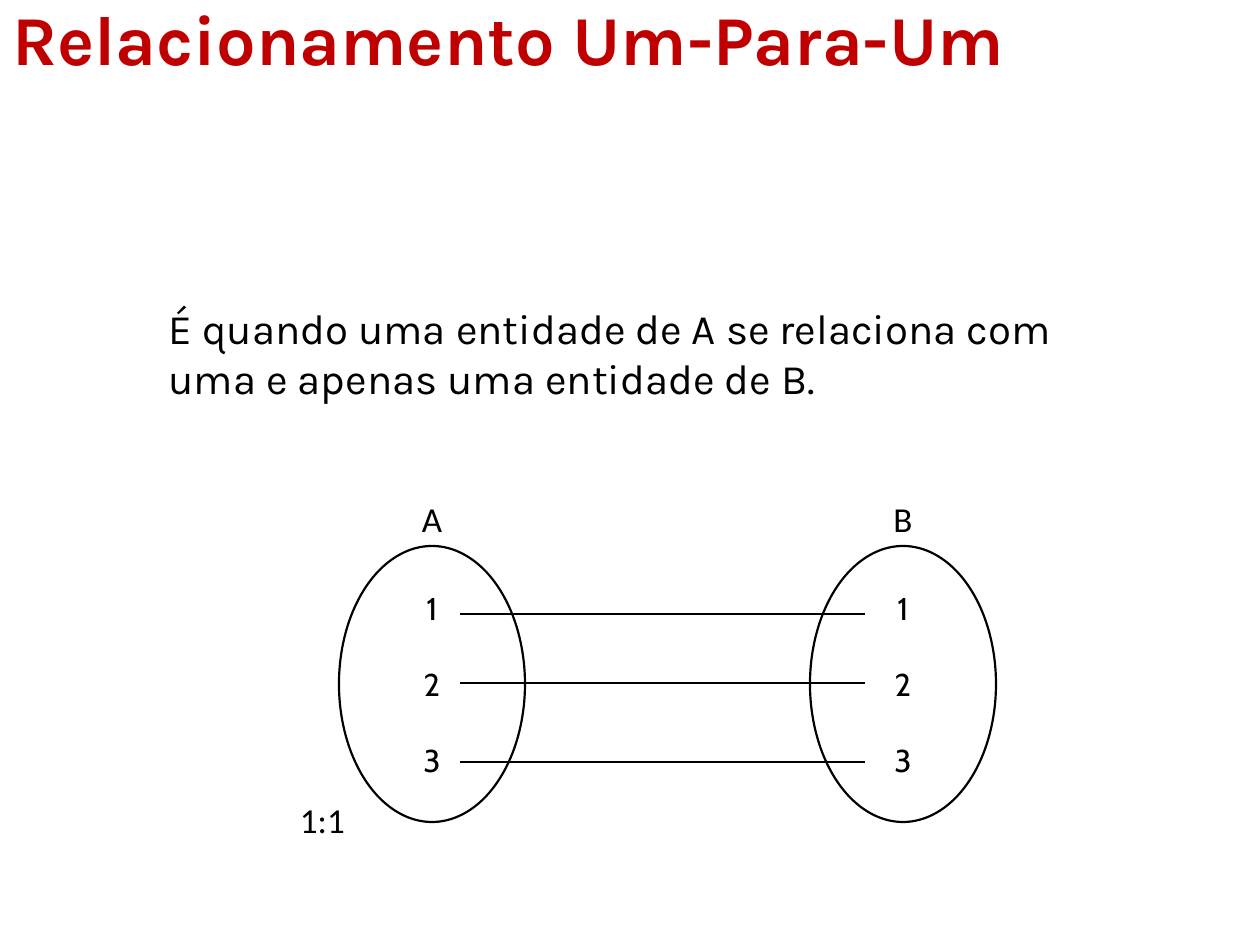
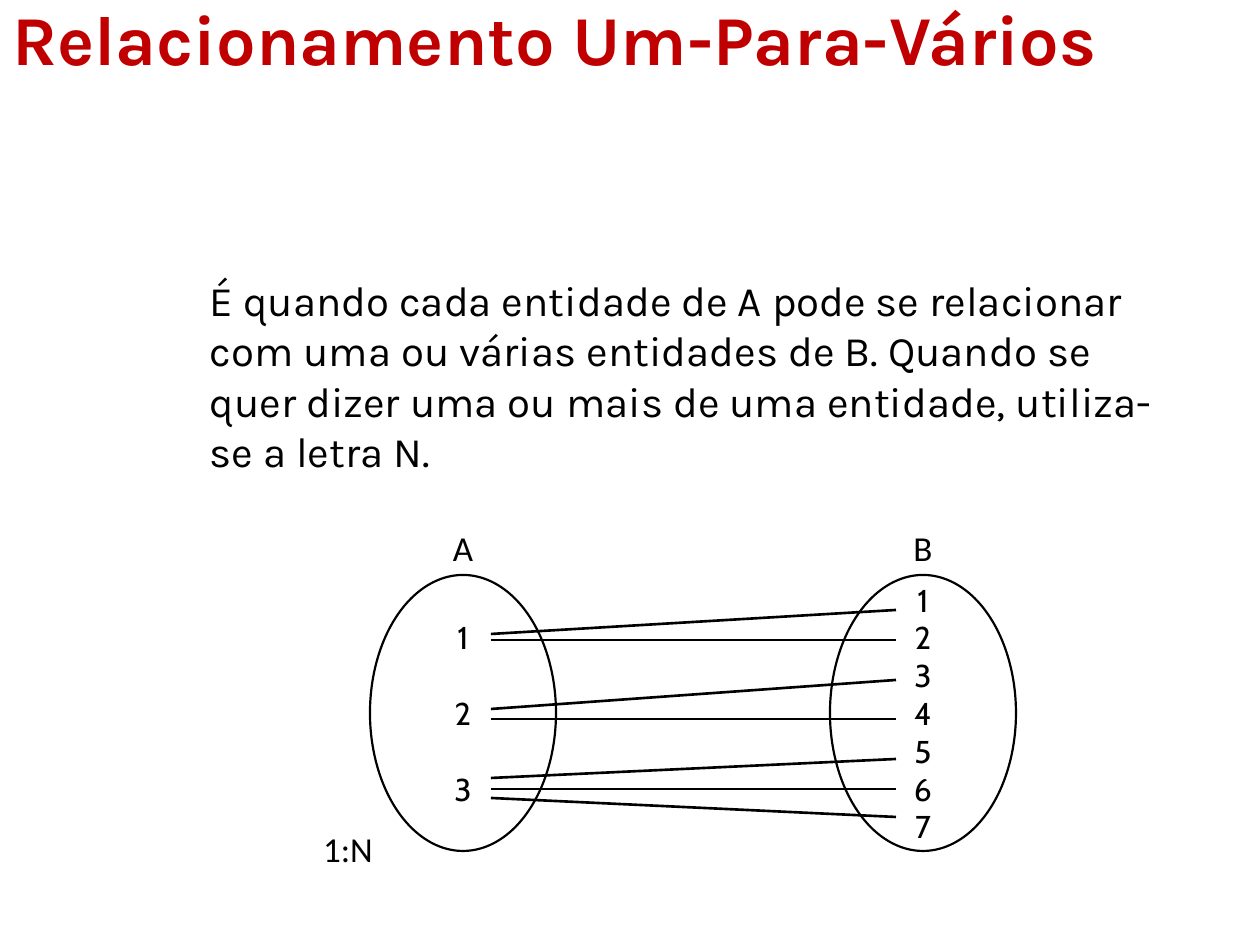
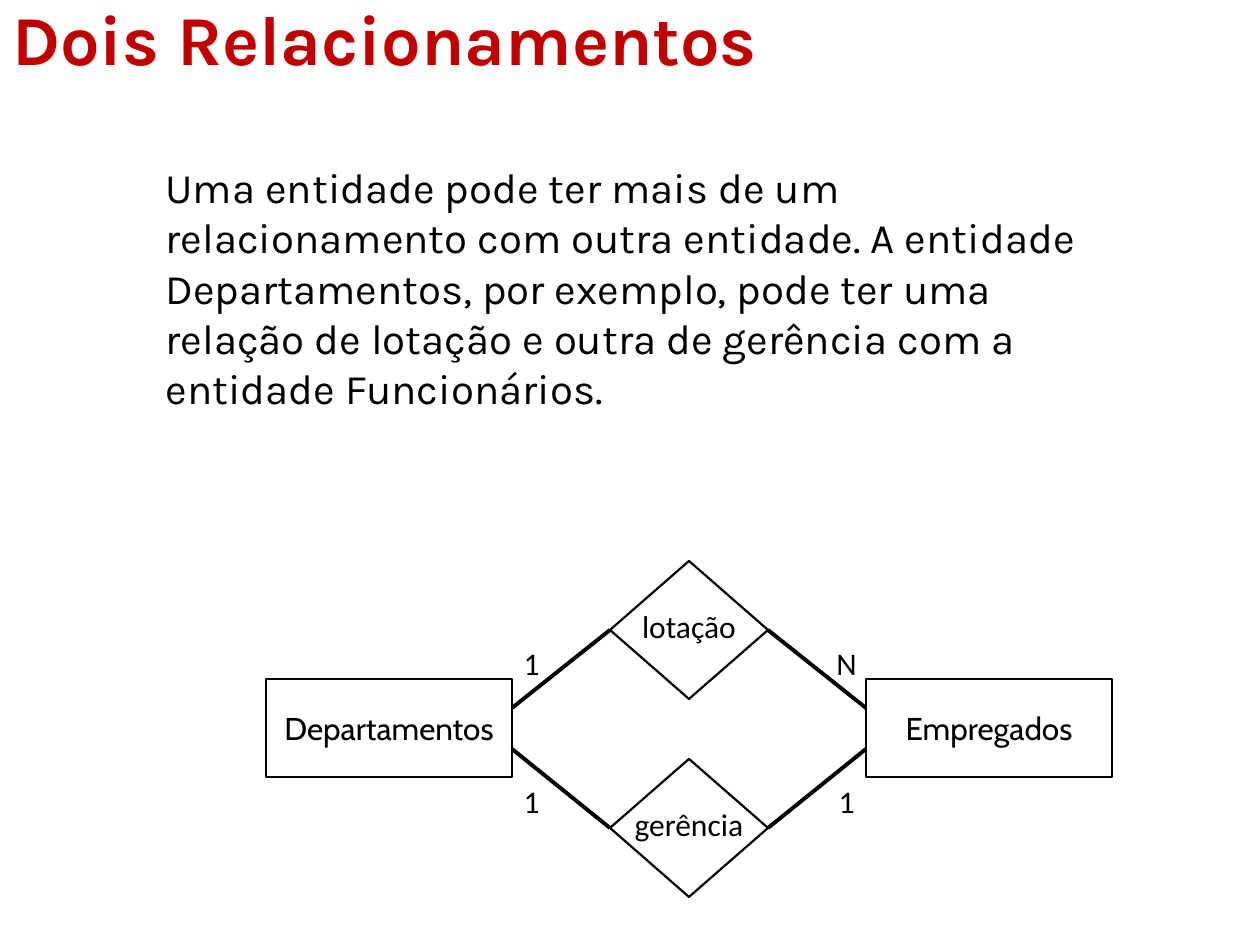
from pptx import Presentation
from pptx.dml.color import RGBColor
from pptx.enum.shapes import MSO_CONNECTOR, MSO_SHAPE
from pptx.enum.text import MSO_ANCHOR, PP_ALIGN
from pptx.oxml.ns import qn
from pptx.util import Pt

PX = 914400 / 126
WIDE, HIGH = 1260, 945
COLORS = {"ink": "000000", "title": "C00000", "paper": "FFFFFF"}
STRAIGHT = MSO_CONNECTOR.STRAIGHT
OVAL, RECT, DIAMOND = MSO_SHAPE.OVAL, MSO_SHAPE.RECTANGLE, MSO_SHAPE.DIAMOND
TOP, MIDDLE = MSO_ANCHOR.TOP, MSO_ANCHOR.MIDDLE
LEFT, CENTER = PP_ALIGN.LEFT, PP_ALIGN.CENTER
LEFT_SIDE, RIGHT_SIDE = 1, 3


def emu(*sizes):
    return [round(size * PX) for size in sizes]


def rgb(name):
    return RGBColor.from_string(COLORS[name])


def write(frame, lines, font="Calibri", size=18, color="ink", bold=False,
          align=CENTER, anchor=TOP, before=0, gap=0, indent=0):
    """Fill a frame, one paragraph for each line."""
    frame.word_wrap = True
    frame.vertical_anchor = anchor
    frame.margin_left = frame.margin_left + emu(indent)[0]
    for i, line in enumerate(lines):
        para = frame.paragraphs[0] if i == 0 else frame.add_paragraph()
        para.alignment = align
        para.space_before = Pt(gap if i else before)
        run = para.add_run()
        run.text = line
        run.font.name, run.font.size, run.font.bold = font, Pt(size), bold
        run.font.color.rgb = rgb(color)


def label(slide, box, text, **style):
    write(slide.shapes.add_textbox(*emu(*box)).text_frame, [text], **style)


def outline(slide, kind, box, lines=(), fill=True, **style):
    shape = slide.shapes.add_shape(kind, *emu(*box))
    shape.shadow.inherit = False
    if fill:
        shape.fill.solid()
        shape.fill.fore_color.rgb = rgb("paper")
    else:
        shape.fill.background()
    shape.line.color.rgb = rgb("ink")
    shape.line.width = Pt(1.25)
    write(shape.text_frame, lines, font="Cabin", anchor=MIDDLE, **style)
    return shape


def link(slide, start, end, weight):
    line = slide.shapes.add_connector(STRAIGHT, *emu(*start, *end))
    line.line.color.rgb = rgb("ink")
    line.line.width = Pt(weight)
    props = line._element.spPr
    props.append(props.makeelement(qn("a:effectLst"), {}))
    return line


def add_page(deck, title, width, body, box, indent):
    """Start a slide with its red title and its paragraph."""
    slide = deck.slides.add_slide(deck.slide_layouts[6])
    label(slide, box, body, font="Karla", size=24, align=LEFT, before=6,
          indent=indent)
    label(slide, (0, 0, width, 76), title, font="Karla", size=40,
          color="title", bold=True, align=LEFT, anchor=MIDDLE)
    return slide


def draw_sets(slide, x, y, step, sets, ratio, ratio_w, pairs):
    """Two ovals with members, joined by lines at the given heights."""
    oval_w, oval_h, name_w, name_h = 186, 276, 66, 55
    for i, (name, count, gap) in enumerate(sets):
        left = x + i * step
        members = [str(n + 1) for n in range(count)]
        outline(slide, OVAL, (left, y, oval_w, oval_h), members, gap=gap)
        label(slide, (left + (oval_w - name_w) // 2, y - name_h, name_w, name_h),
              name, size=20)
    label(slide, (x + 22 - ratio_w, y + 246, ratio_w, name_h), ratio, size=20)
    for start, end in pairs:
        link(slide, (x + 121, y + start), (x + 526, y + end), 1.5)


def draw_model(slide, x, y):
    """Two entities joined by two relationships."""
    rect_w, rect_h, rect_y, far = 246, 98, 118, 600
    dia_w, dia_h, dia_x, dia_step = 158, 138, 344, 198
    for i, name in enumerate(["Departamentos", "Empregados"]):
        outline(slide, RECT, (x + i * far, y + rect_y, rect_w, rect_h), [name])

    # Relationship, height of line end, height and text of marks
    rows = [("lotação", 147, 77, "1N"), ("gerência", 188, 215, "11")]
    for i, (name, end, mark_y, marks) in enumerate(rows):
        top = y + i * dia_step
        diamond = outline(slide, DIAMOND, (x + dia_x, top, dia_w, dia_h),
                          fill=False)
        label(slide, (x + dia_x + 10, top + 40, dia_w - 20, 50), name)
        mid = top + dia_h // 2
        sides = [(rect_w, dia_x, LEFT_SIDE, 236),
                 (far, dia_x + dia_w, RIGHT_SIDE, 551)]
        for (edge, tip, side, mark_x), mark in zip(sides, marks):
            line = link(slide, (x + edge, y + end), (x + tip, mid), 2.25)
            line.end_connect(diamond, side)
            label(slide, (x + mark_x, y + mark_y, 59, 50), mark)


def main():
    deck = Presentation()
    deck.slide_width, deck.slide_height = emu(WIDE, HIGH)

    # One to one
    slide = add_page(
        deck, "Relacionamento Um-Para-Um", 1033,
        "É quando uma entidade de A se relaciona com uma e apenas uma "
        "entidade de B.", (118, 296, 1033, 184), 38)
    draw_sets(slide, 339, 546, 471, [("A", 3, 22), ("B", 3, 22)], "1:1", 77,
              [(68, 68), (137, 137), (216, 216)])

    # One to many
    slide = add_page(
        deck, "Relacionamento Um-Para-Vários", WIDE,
        "É quando cada entidade de A pode se relacionar com uma ou várias "
        "entidades de B. Quando se quer dizer uma ou mais de uma entidade, "
        "utiliza-se a letra N.", (147, 268, 1033, 233), 50)
    draw_sets(slide, 370, 575, 460, [("A", 3, 22), ("B", 7, 0)], "1:N", 88,
              [(59, 35), (65, 65), (134, 105), (144, 144),
               (203, 184), (214, 214), (223, 242)])

    # Two relationships
    slide = add_page(
        deck, "Dois Relacionamentos", 1134,
        "Uma entidade pode ter mais de um relacionamento com outra entidade. "
        "A entidade Departamentos, por exemplo, pode ter uma relação de "
        "lotação e outra de gerência com a entidade Funcionários.",
        (103, 155, 1033, 323), 50)
    draw_model(slide, 266, 561)

    deck.save("out.pptx")


if __name__ == "__main__":
    main()
